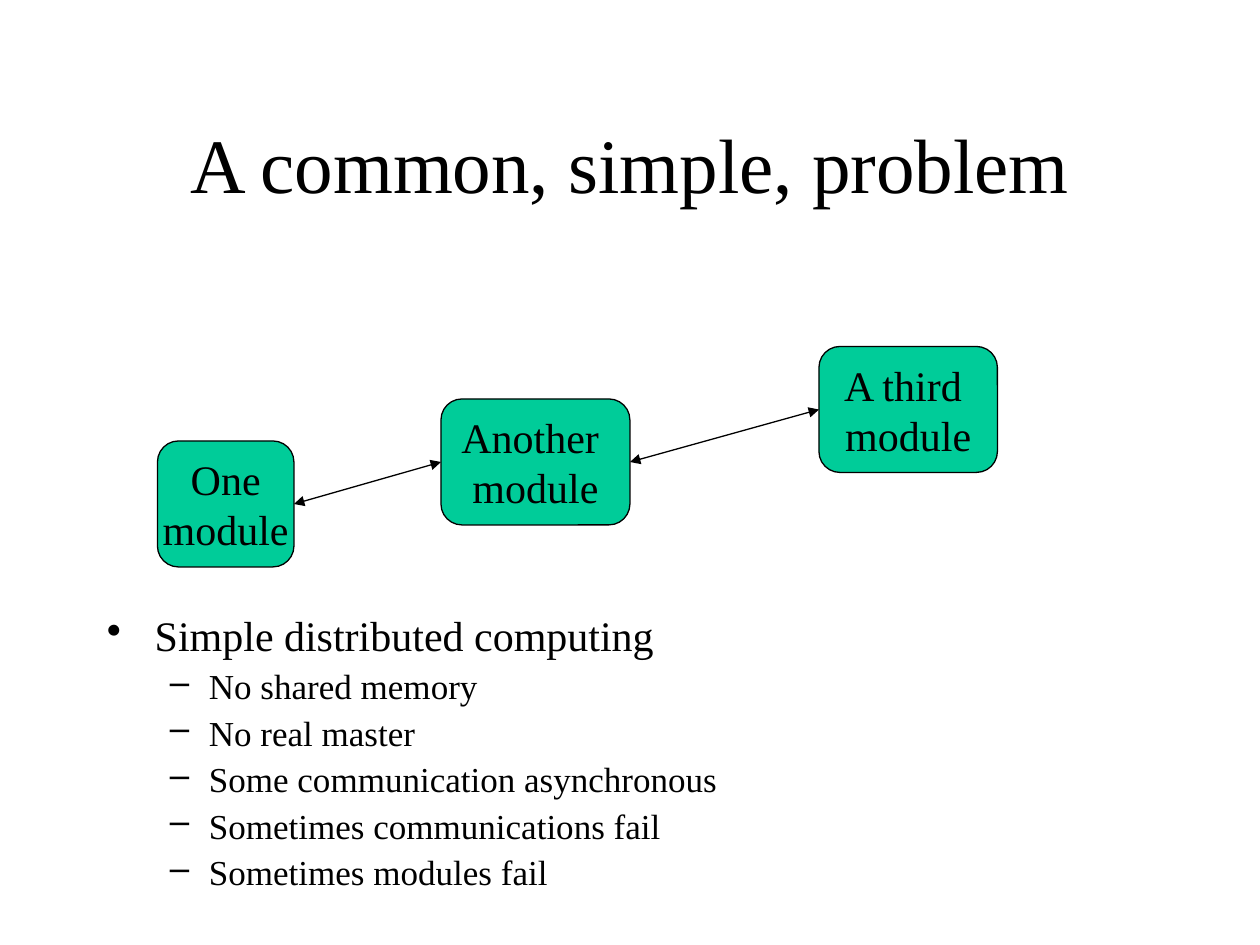
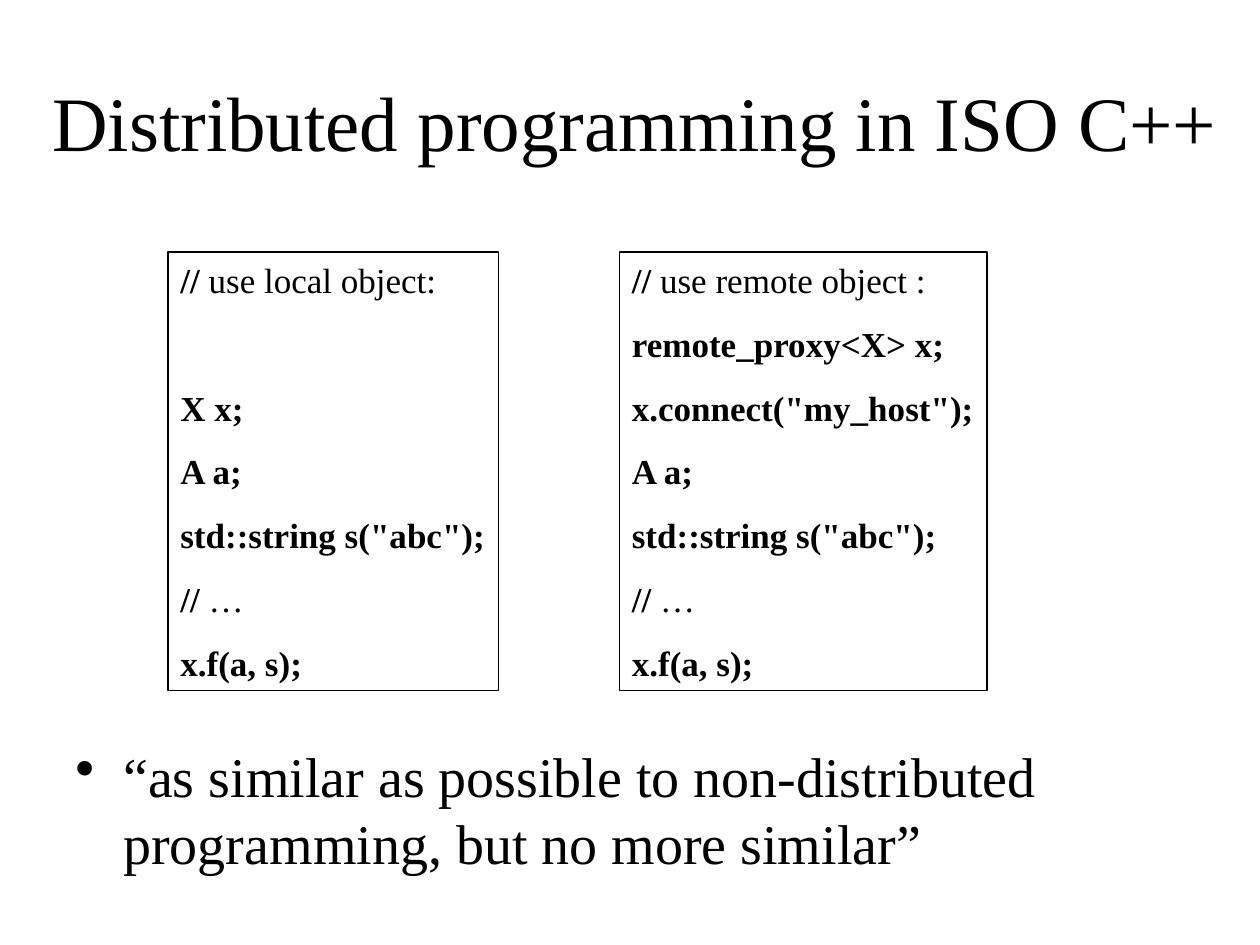
from lxml.etree import SubElement
from pptx import Presentation
from pptx.dml.color import RGBColor
from pptx.enum.shapes import MSO_CONNECTOR, MSO_SHAPE
from pptx.enum.text import MSO_ANCHOR, MSO_AUTO_SIZE, PP_ALIGN
from pptx.oxml.ns import qn
from pptx.util import Inches, Pt

FONT = "Times New Roman"
INK = "000000"
MODULE_GREEN = "00CC99"
LINE_WIDTH = Pt(0.75)
TITLE_SIZE, MODULE_SIZE, CODE_SIZE = 44, 24, 20
CODE_GAP, CODE_LINE = 12.5, 24
BULLETS = [("•", 0.38, -0.38), ("–", 0.81, -0.31)]
LEFT_SITE, RIGHT_SITE = 1, 3

presentation = Presentation()
presentation.slide_width = Inches(10)
presentation.slide_height = Inches(7.5)
CELL = presentation.slide_width // 120


def colour(value):
    return RGBColor.from_string(value)


def format_run(run, size, bold=False):
    run.font.name = FONT
    run.font.size = Pt(size)
    run.font.bold = bold
    run.font.color.rgb = colour(INK)


pages = [
    ("A common, simple, problem", (9, 8, 102, 15), (9, 58, 102, 29), 0.9, [
        (0, 24, 6, "Simple distributed computing"),
        (1, 20, 5, "No shared memory"),
        (1, 20, 5, "No real master"),
        (1, 20, 5, "Some communication asynchronous"),
        (1, 20, 5, "Sometimes communications fail"),
        (1, 20, 5, "Sometimes modules fail"),
    ]),
    ("Distributed programming in ISO C++", (2, 4, 117, 15), (6, 70, 111, 15), 1.0, [
        (0, 32, 8, "“as similar as possible to non-distributed programming, but no more similar”"),
    ]),
]

for title, title_cells, body_cells, line_spacing, points in pages:
    slide = presentation.slides.add_slide(presentation.slide_layouts[6])
    title_frame = slide.shapes.add_textbox(*[CELL * n for n in title_cells]).text_frame
    title_frame.word_wrap = True
    title_frame.vertical_anchor = MSO_ANCHOR.MIDDLE
    title_frame.text = title
    title_frame.paragraphs[0].alignment = PP_ALIGN.CENTER
    format_run(title_frame.paragraphs[0].runs[0], TITLE_SIZE)

    body_frame = slide.shapes.add_textbox(*[CELL * n for n in body_cells]).text_frame
    body_frame.word_wrap = True
    body_frame.text = "\n".join(text for *_, text in points)
    for paragraph, (level, size, space, _) in zip(body_frame.paragraphs, points):
        character, margin, indent = BULLETS[level]
        paragraph.level = level
        paragraph.line_spacing = line_spacing
        paragraph.space_before = Pt(space)
        format_run(paragraph.runs[0], size)
        properties = paragraph._p.get_or_add_pPr()
        properties.set("marL", str(Inches(margin)))
        properties.set("indent", str(Inches(indent)))
        SubElement(properties, qn("a:buChar")).set("char", character)

problem_slide, code_slide = presentation.slides

modules = []
for first_line, left, top, width in [
    ("One", 15, 42, 13),
    ("Another ", 42, 38, 18),
    ("A third ", 78, 33, 17),
]:
    module = problem_slide.shapes.add_shape(
        MSO_SHAPE.ROUNDED_RECTANGLE, CELL * left, CELL * top, CELL * width, CELL * 12)
    module.shadow.inherit = False
    module.fill.solid()
    module.fill.fore_color.rgb = colour(MODULE_GREEN)
    module.line.color.rgb = colour(INK)
    module.line.width = LINE_WIDTH
    module.text_frame.word_wrap = False
    module.text_frame.vertical_anchor = MSO_ANCHOR.MIDDLE
    module.text_frame.text = first_line + "\nmodule"
    for paragraph in module.text_frame.paragraphs:
        paragraph.alignment = PP_ALIGN.CENTER
        format_run(paragraph.runs[0], MODULE_SIZE)
    modules.append(module)

for sender, receiver in zip(modules, modules[1:]):
    link = problem_slide.shapes.add_connector(MSO_CONNECTOR.STRAIGHT, 0, 0, 0, 0)
    link.begin_connect(sender, RIGHT_SITE)
    link.end_connect(receiver, LEFT_SITE)
    link.line.color.rgb = colour(INK)
    link.line.width = LINE_WIDTH
    outline = link.line._get_or_add_ln()
    for end in ("a:headEnd", "a:tailEnd"):
        SubElement(outline, qn(end)).set("type", "triangle")
    SubElement(link._element.spPr, qn("a:effectLst"))

shared_code = ["A a;", 'std::string s("abc");', "// …", "x.f(a, s);"]
listings = [
    (16, 31.5, 1, ["// use local object:", "X x;"]),
    (59, 35, 0, ["// use remote object :", "remote_proxy<X> x;", 'x.connect("my_host");']),
]
for left, width, skipped_lines, setup_code in listings:
    listing = code_slide.shapes.add_textbox(
        CELL * left, CELL * 24, int(CELL * width), int(CELL * 41.75))
    listing.line.color.rgb = colour(INK)
    listing.line.width = LINE_WIDTH
    frame = listing.text_frame
    frame.word_wrap = False
    frame.auto_size = MSO_AUTO_SIZE.SHAPE_TO_FIT_TEXT
    frame.text = "\n".join(setup_code + shared_code)
    for index, paragraph in enumerate(frame.paragraphs):
        skipped = skipped_lines if index == 1 else 0
        paragraph.space_before = Pt(CODE_GAP + skipped * (CODE_GAP + CODE_LINE))
        code = paragraph.runs[0]
        format_run(code, CODE_SIZE, bold=True)
        if code.text.startswith("// "):
            comment = paragraph.add_run()
            comment.text = code.text[3:]
            code.text = "// "
            format_run(comment, CODE_SIZE)

presentation.save("out.pptx")
